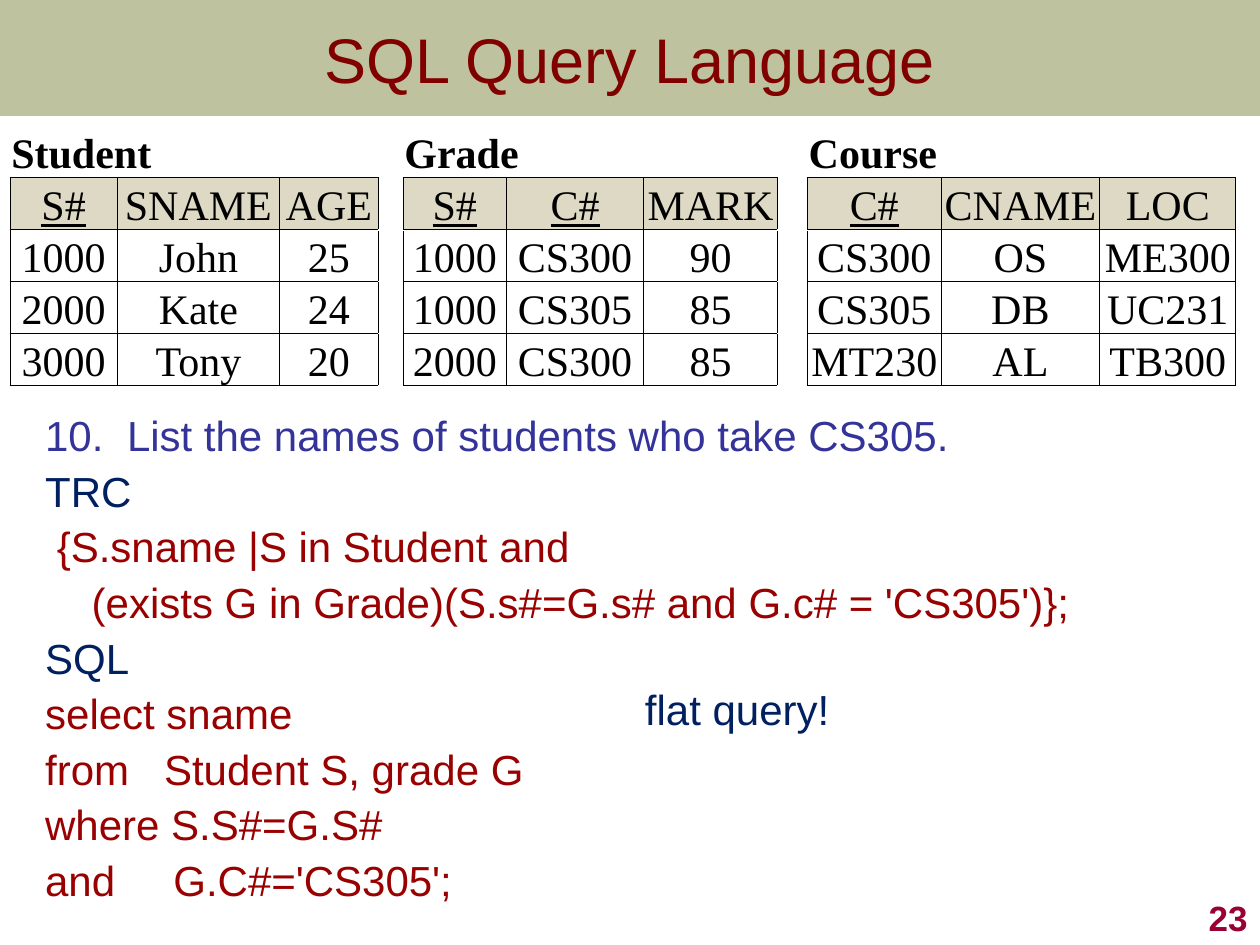
import dataclasses

import lxml.etree
import pptx
import pptx.dml.color
import pptx.enum.shapes
import pptx.enum.text
import pptx.oxml
import pptx.oxml.ns
import pptx.util

Inches = pptx.util.Inches
Pt = pptx.util.Pt
RGBColor = pptx.dml.color.RGBColor
Align = pptx.enum.text.PP_ALIGN
Anchor = pptx.enum.text.MSO_ANCHOR
qn = pptx.oxml.ns.qn


@dataclasses.dataclass(frozen=True)
class Theme:
    banner: str = "6E7524"
    title: str = "800000"
    page: str = "990033"
    question: str = "333399"
    label: str = "002060"
    code: str = "990000"
    ink: str = "000000"
    paper: str = "FFFFFF"
    header: str = "DDD9C4"
    sans: str = "Arial"
    serif: str = "Times New Roman"
    title_size: int = 36
    body_size: int = 24
    page_size: int = 20


theme = Theme()


def write_text(frame, text, color, size=theme.body_size, font=theme.sans, bold=False,
               underline=False, align=Align.LEFT, line_spacing=None, space_before=0):
    paragraph = frame.paragraphs[0]
    if paragraph.runs:
        paragraph = frame.add_paragraph()
        paragraph.space_before = Pt(space_before)
    paragraph.alignment = align
    if line_spacing:
        paragraph.line_spacing = line_spacing
    run = paragraph.add_run()
    run.text = text
    run.font.name = font
    run.font.size = Pt(size)
    run.font.bold = bold
    run.font.underline = underline
    run.font.color.rgb = RGBColor.from_string(color)
    return paragraph


def draw_borders(cell, sides):
    properties = cell._tc.get_or_add_tcPr()
    for position, side in enumerate(sides):
        line = pptx.oxml.parse_xml(
            f'<a:ln{side} xmlns:a="{pptx.oxml.ns.nsdecls("a").split(chr(34))[1]}" w="{Pt(0.5)}">'
            f'<a:solidFill><a:srgbClr val="{theme.ink}"/></a:solidFill></a:ln{side}>')
        properties.insert(position, line)


presentation = pptx.Presentation()
presentation.slide_width = Inches(10)
presentation.slide_height = Inches(7.5)
slide = presentation.slides.add_slide(presentation.slide_layouts[6])

page_box = slide.shapes.add_textbox(Inches(7.92), Inches(7), Inches(2.08), Inches(0.5))
page_box.text_frame.word_wrap = True
page_box.text_frame.vertical_anchor = Anchor.BOTTOM
write_text(page_box.text_frame, "23", theme.page, size=theme.page_size, bold=True, align=Align.RIGHT)

banner = slide.shapes.add_shape(pptx.enum.shapes.MSO_SHAPE.RECTANGLE, 0, 0, Inches(10), Inches(0.92))
banner.shadow.inherit = False
banner.line.fill.background()
banner.fill.solid()
banner.fill.fore_color.rgb = RGBColor.from_string(theme.banner)
banner_color = banner.fill._xPr.find(qn("a:solidFill")).find(qn("a:srgbClr"))
lxml.etree.SubElement(banner_color, qn("a:alpha"), val="44000")
banner.text_frame.vertical_anchor = Anchor.MIDDLE
write_text(banner.text_frame, "SQL Query Language", theme.title, size=theme.title_size, align=Align.CENTER)

query_box = slide.shapes.add_textbox(Inches(0.26), Inches(3.25), Inches(9.25), Inches(4.33))
query_box.text_frame.word_wrap = True
query_box.text_frame.margin_right = 0
query_lines = [
    ("10.\tList the names of students who take CS305.", theme.question),
    ("TRC", theme.label),
    (" {S.sname |S in Student and", theme.code),
    ("    (exists G in Grade)(S.s#=G.s# and G.c# = 'CS305')};", theme.code),
    ("SQL", theme.label),
    ("select sname", theme.code),
    ("from   Student S, grade G", theme.code),
    ("where S.S#=G.S#", theme.code),
    ("and     G.C#='CS305';", theme.code),
]
for text, color in query_lines:
    paragraph = write_text(query_box.text_frame, text, color, line_spacing=0.9, space_before=5.8)
    if "\t" in text:
        hanging = Inches(0.65)
        properties = paragraph._p.get_or_add_pPr()
        properties.set("marL", str(hanging))
        properties.set("indent", str(-hanging))

remark_box = slide.shapes.add_textbox(Inches(5.02), Inches(5.42), Inches(1.68), Inches(0.46))
remark_box.text_frame.word_wrap = False
remark_box.text_frame.auto_size = pptx.enum.text.MSO_AUTO_SIZE.SHAPE_TO_FIT_TEXT
write_text(remark_box.text_frame, "flat query!", theme.label, line_spacing=0.9)

column_widths = [0.85, 1.29, 0.78, 0.2, 0.82, 1.09, 1.06, 0.24, 1.06, 1.26, 1.08]
rows = [
    ["Student", "", "", "", "Grade", "", "", "", "Course", "", ""],
    ["S#", "SNAME", "AGE", "", "S#", "C#", "MARK", "", "C#", "CNAME", "LOC"],
    ["1000", "John", "25", "", "1000", "CS300", "90", "", "CS300", "OS", "ME300"],
    ["2000", "Kate", "24", "", "1000", "CS305", "85", "", "CS305", "DB", "UC231"],
    ["3000", "Tony", "20", "", "2000", "CS300", "85", "", "MT230", "AL", "TB300"],
]
gap_columns = (3, 7)
table = slide.shapes.add_table(len(rows), len(column_widths), Inches(0.08), Inches(1),
                               Inches(9.74), Inches(2.06)).table
table.first_row = False
table.horz_banding = False
for column, width in zip(table.columns, column_widths):
    column.width = Inches(width)
for first in (0, 4, 8):
    table.cell(0, first).merge(table.cell(0, first + 2))

for row_index, row in enumerate(rows):
    for column_index, text in enumerate(row):
        cell = table.cell(row_index, column_index)
        is_gap = column_index in gap_columns
        is_caption = row_index == 0
        is_header = row_index == 1 and not is_gap
        cell.fill.solid()
        cell.fill.fore_color.rgb = RGBColor.from_string(theme.header if is_header else theme.paper)
        cell.vertical_anchor = Anchor.BOTTOM
        cell.margin_left = cell.margin_right = cell.margin_top = Inches(0.01)
        cell.margin_bottom = 0
        if text:
            write_text(cell.text_frame, text, theme.ink, font=theme.serif, bold=is_caption,
                       underline=is_header and text.endswith("#"),
                       align=Align.LEFT if is_caption else Align.CENTER)
        if is_caption:
            draw_borders(cell, "" if is_gap else "B")
        else:
            draw_borders(cell, "LR" if is_gap else "LRTB")

presentation.save("out.pptx")
